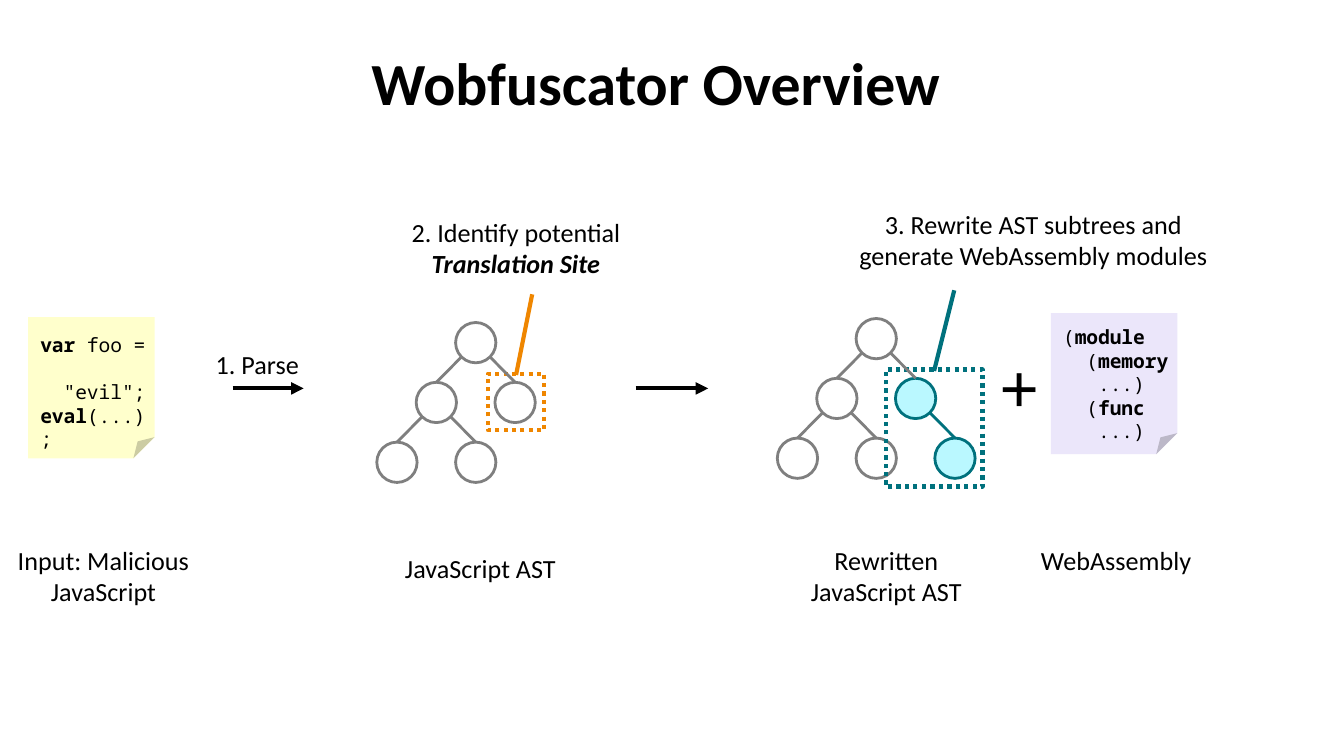
from copy import deepcopy

from lxml.etree import SubElement
from pptx import Presentation
from pptx.dml.color import RGBColor
from pptx.enum.dml import MSO_LINE
from pptx.enum.shapes import MSO_CONNECTOR, MSO_SHAPE
from pptx.enum.text import MSO_ANCHOR, PP_ALIGN
from pptx.oxml.ns import qn
from pptx.util import Inches, Pt

BLACK = RGBColor(0x00, 0x00, 0x00)
GRAY = RGBColor(0x7F, 0x7F, 0x7F)
ORANGE = RGBColor(0xEF, 0x86, 0x00)
TEAL = RGBColor(0x00, 0x71, 0x7D)
CYAN = RGBColor(0xBA, 0xF8, 0xFF)
YELLOW = RGBColor(0xFF, 0xFF, 0xCC)
LILAC = RGBColor(0xEB, 0xE6, 0xFA)

# The slide is a grid of 100 columns; rows are as tall as columns are wide.
CELL = Inches(10) // 100
NODE = 3
STEP_X, STEP_Y = 2.93, 4.45

LABEL = {"name": "Calibri", "size": Pt(14)}
TITLE = {"name": "Calibri", "size": Pt(32), "bold": True}
CODE = {"name": "Noto Sans Mono", "size": Pt(10.5)}
PLUS = {"name": "Arial", "size": Pt(36)}


def grid(*cells):
    """Turn grid cells into lengths."""
    return [round(cell * CELL) for cell in cells]


def write(shape, paras, style, align, pads):
    """Fill a shape with paragraphs of (text, marks) parts; marks are b and i."""
    frame = shape.text_frame
    frame.word_wrap = True
    frame.vertical_anchor = MSO_ANCHOR.TOP
    sides = ("margin_left", "margin_top", "margin_right", "margin_bottom")
    for side, pad in zip(sides, grid(*pads)):
        setattr(frame, side, pad)
    for i, parts in enumerate(paras):
        para = frame.add_paragraph() if i else frame.paragraphs[0]
        para.alignment = align
        for text, marks in parts:
            look = {"bold": "b" in marks, "italic": "i" in marks, **style}
            for j, line in enumerate(text.split("\n")):
                if j:
                    para.add_line_break()
                    para._p[-1].append(deepcopy(run._r.rPr))
                if line:
                    run = para.add_run()
                    run.text = line
                    run.font.color.rgb = BLACK
                    for key, value in look.items():
                        setattr(run.font, key, value)


deck = Presentation()
deck.slide_width, deck.slide_height = grid(100, 56.25)
slide = deck.slides.add_slide(deck.slide_layouts[6])
shapes = slide.shapes

# Each tree: centre of its root, then nodes as (parent, step, line, fill)
root, left, right = (0, 0), (-1, 1), (1, 1)
base = [
    (None, root, GRAY, None),
    (root, left, GRAY, None),
    (left, (-2, 2), GRAY, None),
    (left, (0, 2), GRAY, None),
]
trees = [
    (35.4, 25.5, base + [(root, right, GRAY, None)]),
    (65.2, 25.2, base + [(root, right, TEAL, CYAN), (right, (2, 2), TEAL, CYAN)]),
]

forms, lines = [], []
for mid_x, mid_y, nodes in trees:
    for up, (col, row), edge, fill in nodes:
        x, y = mid_x + col * STEP_X, mid_y + row * STEP_Y
        box = (x - NODE / 2, y - NODE / 2, NODE, NODE)
        forms.append((MSO_SHAPE.OVAL, box, fill, edge, 1.5, None))
        if up:
            side = col - up[0]
            start = (mid_x + up[0] * STEP_X + side * 1.05, mid_y + up[1] * STEP_Y + 1.05)
            ink = TEAL if up == right else GRAY
            lines.append((start, (x, y - NODE / 2), ink, 1.5, False))

# Dotted frames around the chosen subtrees
forms += [
    (MSO_SHAPE.RECTANGLE, (36.3, 27.8, 4.2, 4.2), None, ORANGE, 2.25, MSO_LINE.ROUND_DOT),
    (MSO_SHAPE.RECTANGLE, (65.9, 27.5, 7.2, 8.7), None, TEAL, 2.25, MSO_LINE.ROUND_DOT),
]
# Flow arrows and pointers
lines += [
    ((17.3, 28.9), (22.6, 28.9), BLACK, 2.25, True),
    ((47.3, 28.9), (52.7, 28.9), BLACK, 2.25, True),
    ((38.4, 27.9), (39.6, 21.9), ORANGE, 2.25, False),
    ((69.5, 27.6), (71, 21.6), TEAL, 2.25, False),
]

for kind, box, fill, edge, width, dash in forms:
    form = shapes.add_shape(kind, *grid(*box))
    form.shadow.inherit = False
    if fill:
        form.fill.solid()
        form.fill.fore_color.rgb = fill
    else:
        form.fill.background()
    form.line.color.rgb = edge
    form.line.width = Pt(width)
    if dash:
        form.line.dash_style = dash

for start, end, ink, width, arrow in lines:
    line = shapes.add_connector(MSO_CONNECTOR.STRAIGHT, *grid(*start, *end))
    line.line.color.rgb = ink
    line.line.width = Pt(width)
    props = line._element.spPr
    if arrow:
        SubElement(props.find(qn("a:ln")), qn("a:tailEnd"), type="triangle")
    SubElement(props, qn("a:effectLst"))

# Code notes
notes = [
    ((2.1, 23.6, 9.4, 10.5), YELLOW, 1.2, [
        [("var", "b"), (' foo = \n  "evil";\n', ""), ("eval", "b"), ("(...);", "")],
    ]),
    ((78.2, 23.3, 9.4, 10.5), LILAC, 0.9, [
        [("(", ""), ("module\n", "b"), ("  (", ""), ("memory\n", "b"),
         ("   ...)\n  (", ""), ("func", "b")],
        [("   ...)", "")],
    ]),
]
for box, fill, top, paras in notes:
    note = shapes.add_shape(MSO_SHAPE.FOLDED_CORNER, *grid(*box))
    note.shadow.inherit = False
    note.fill.solid()
    note.fill.fore_color.rgb = fill
    note.line.fill.background()
    write(note, paras, CODE, PP_ALIGN.LEFT, (0.9, top, 0.3, 0.5))

# Labels
labels = [
    ((0.1, 40, 15.2, 5.7), [("Input: Malicious\nJavaScript", "")], LABEL),
    ((28.9, 40.6, 13.7, 3.4), [("JavaScript AST", "")], LABEL),
    ((59.1, 40, 13.7, 5.7), [("Rewritten JavaScript AST", "")], LABEL),
    ((76.2, 40, 13.7, 3.4), [("WebAssembly", "")], LABEL),
    ((14.7, 25.4, 8.9, 3.4), [("1. Parse", "")], LABEL),
    ((27.7, 15.6, 21.4, 5.7),
     [("2. Identify potential\n", ""), ("Translation Site", "bi")], LABEL),
    ((62.6, 15, 28.6, 5.7),
     [("3. Rewrite AST subtrees and generate WebAssembly modules", "")], LABEL),
    ((73.4, 25.2, 3.7, 7.1), [("+", "")], PLUS),
    ((2.2, 2, 93.2, 8.2), [("Wobfuscator Overview", "")], TITLE),
]
for box, parts, style in labels:
    label = shapes.add_textbox(*grid(*box))
    align = PP_ALIGN.LEFT if style is PLUS else PP_ALIGN.CENTER
    write(label, [parts], style, align, (1, 0.5, 1, 0.5))
    if style is TITLE:
        label.text_frame.vertical_anchor = MSO_ANCHOR.MIDDLE

deck.save("out.pptx")
